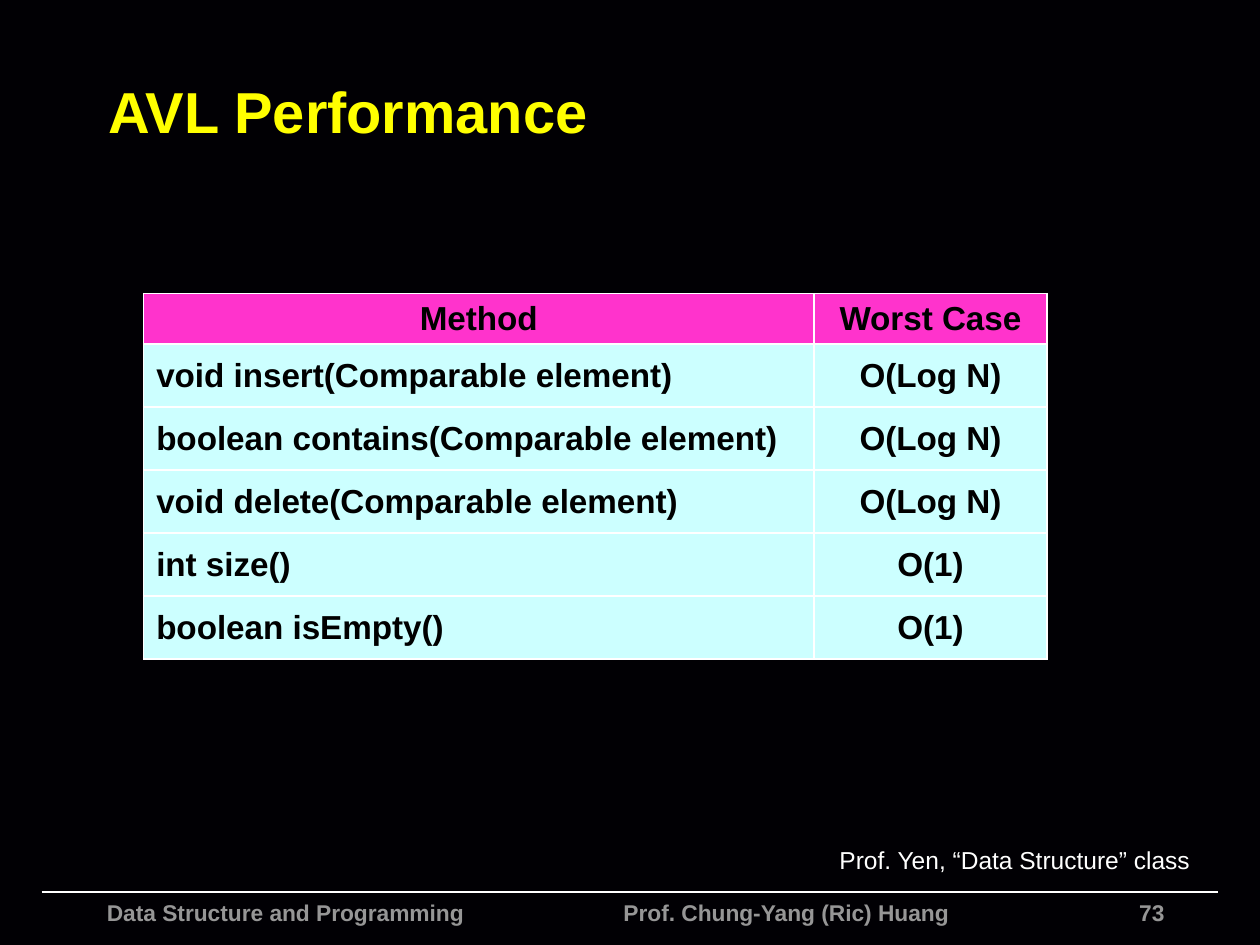
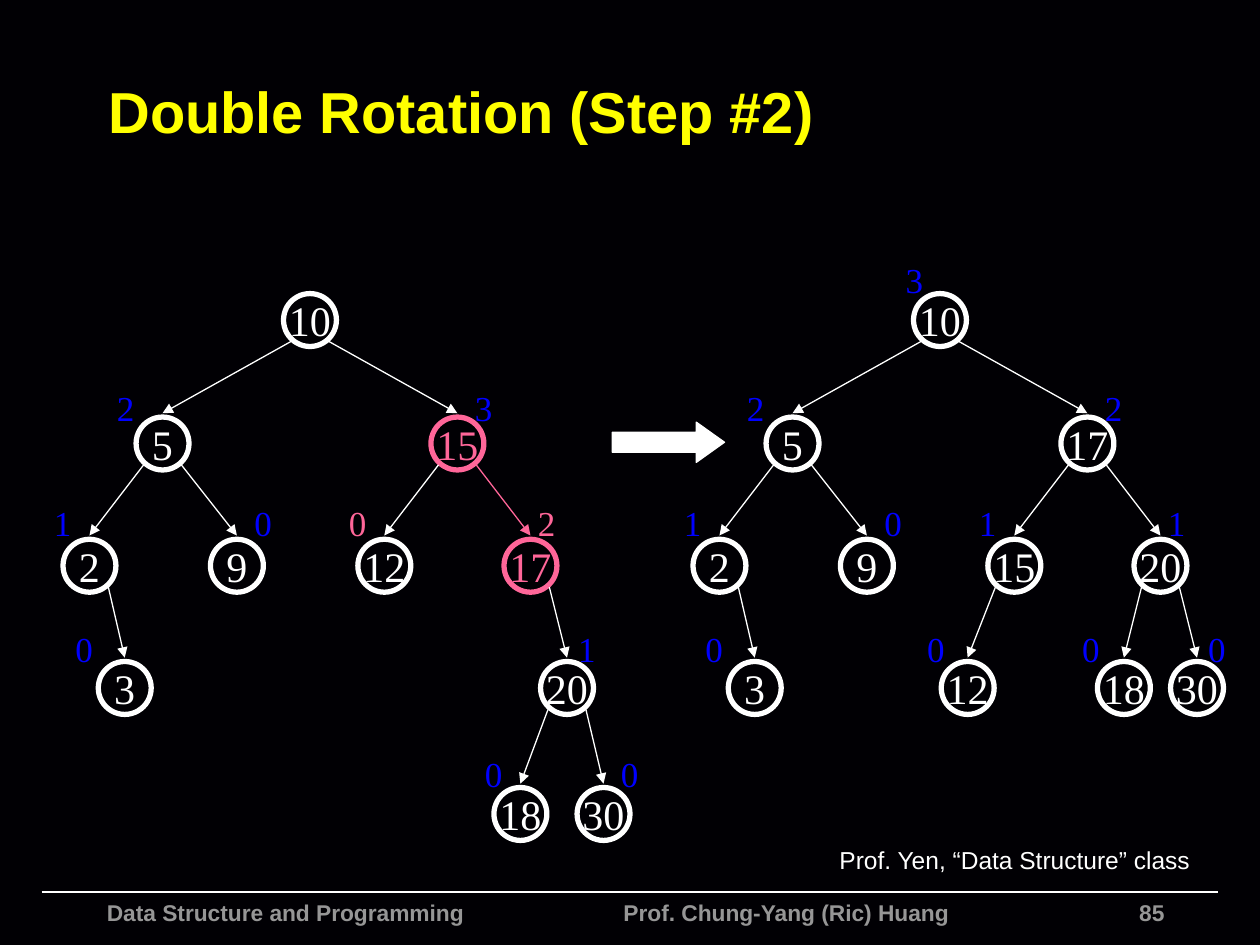
from dataclasses import dataclass

from lxml.etree import SubElement
from pptx import Presentation
from pptx.dml.color import RGBColor
from pptx.enum.shapes import MSO_CONNECTOR, MSO_SHAPE
from pptx.enum.text import MSO_ANCHOR, MSO_AUTO_SIZE, PP_ALIGN
from pptx.oxml.ns import qn
from pptx.shapes.connector import Connector
from pptx.slide import Slide
from pptx.table import _Cell
from pptx.text.text import TextFrame
from pptx.util import Inches, Pt

BLACK = RGBColor(0, 0, 0)
NIGHT = RGBColor(0x01, 0x00, 0x04)
WHITE = RGBColor(0xFF, 0xFF, 0xFF)
YELLOW = RGBColor(0xFF, 0xFF, 0x00)
GREY = RGBColor(0x96, 0x96, 0x96)
BLUE = RGBColor(0x00, 0x00, 0xFF)
PINK = RGBColor(0xFF, 0x66, 0x99)
MAGENTA = RGBColor(0xFF, 0x33, 0xCC)
CYAN = RGBColor(0xCC, 0xFF, 0xFF)

SANS = "Arial"
SERIF = "Times New Roman"

COSTS = [
    ("void insert(Comparable element)", "O(Log N)"),
    ("boolean contains(Comparable element)", "O(Log N)"),
    ("void delete(Comparable element)", "O(Log N)"),
    ("int size()", "O(1)"),
    ("boolean isEmpty()", "O(1)"),
]

# Tree geometry in inches, one entry per level
SIZE = 0.42
TOPS = [2.33, 3.31, 4.28, 5.25, 6.25]
LIFTS = [0.33, 0.29, 0.35, 0.32, 0.33]
SHIFT = 5.0


@dataclass(frozen=True)
class Node:
    key: int
    level: int
    left: float
    rank: int | None  # height of the subtree, None where unmarked
    gap: float  # label offset from the left of the circle
    root: int | None = None  # key of the parent
    color: RGBColor = WHITE
    tint: RGBColor = BLUE

    @property
    def mid(self) -> float:
        return self.left + SIZE / 2

    @property
    def top(self) -> float:
        return TOPS[self.level]


def base(rank: int | None) -> list[Node]:
    """The root and left branch, which the rotation leaves alone."""
    return [
        Node(10, 0, 2.25, rank, -0.16),
        Node(5, 1, 1.08, 2, -0.25, 10),
        Node(2, 2, 0.5, 1, -0.17, 5),
        Node(9, 2, 1.67, 0, 0.25, 5),
        Node(3, 3, 0.78, 0, -0.28, 2),
    ]


BEFORE = base(None) + [
    Node(15, 1, 3.42, 3, 0.25, 10, PINK),
    Node(12, 2, 2.84, 0, -0.17, 15, tint=PINK),
    Node(17, 2, 4.0, 2, 0.17, 15, PINK, PINK),
    Node(20, 3, 4.29, 1, 0.2, 17),
    Node(18, 4, 3.92, 0, -0.17, 20),
    Node(30, 4, 4.58, 0, 0.25, 20),
]
AFTER = base(3) + [
    Node(17, 1, 3.42, 2, 0.25, 10),
    Node(15, 2, 2.84, 1, -0.17, 17),
    Node(20, 2, 4.0, 1, 0.17, 17),
    Node(12, 3, 2.47, 0, -0.21, 15),
    Node(18, 3, 3.71, 0, -0.22, 20),
    Node(30, 3, 4.29, 0, 0.2, 20),
]


def put(frame: TextFrame, words: str, *, size: int, color: RGBColor,
        font: str = SANS, bold: bool = False, align: PP_ALIGN = PP_ALIGN.LEFT,
        anchor: MSO_ANCHOR = MSO_ANCHOR.TOP, wrap: bool = True,
        tab: float | None = None) -> None:
    frame.word_wrap = wrap
    frame.auto_size = MSO_AUTO_SIZE.NONE
    frame.vertical_anchor = anchor
    style(frame, words, size, color, font, bold, align, tab)


def style(frame: TextFrame, words: str, size: int, color: RGBColor, font: str,
          bold: bool, align: PP_ALIGN, tab: float | None = None) -> None:
    par = frame.paragraphs[0]
    par.alignment = align
    if tab is not None:
        stops = SubElement(par._p.get_or_add_pPr(), qn("a:tabLst"))
        SubElement(stops, qn("a:tab"), pos=str(Inches(tab)), algn="l")
    run = par.add_run()
    run.text = words
    run.font.name = font
    run.font.size = Pt(size)
    run.font.bold = bold
    run.font.color.rgb = color


def label(slide: Slide, left: float, top: float, width: float, height: float,
          words: str, **form) -> None:
    box = slide.shapes.add_textbox(*map(Inches, (left, top, width, height)))
    put(box.text_frame, words, **form)


def line(slide: Slide, start: tuple[float, float], end: tuple[float, float],
         color: RGBColor = WHITE, width: float = 1) -> Connector:
    link = slide.shapes.add_connector(
        MSO_CONNECTOR.STRAIGHT, *map(Inches, (*start, *end)))
    link.line.color.rgb = color
    link.line.width = Pt(width)
    SubElement(link._element.spPr, qn("a:effectLst"))
    return link


def frame_slide(prs: Presentation, title: str, page: int) -> Slide:
    """Add a slide with its title, footer and source credit."""
    slide = prs.slides.add_slide(prs.slide_layouts[5])
    head = slide.shapes.title
    head.left, head.top = Inches(0.76), Inches(0.37)
    head.width, head.height = Inches(8.84), Inches(1.01)
    put(head.text_frame, title, size=33, color=YELLOW, bold=True,
        anchor=MSO_ANCHOR.MIDDLE)
    line(slide, (0.33, 7.08), (9.67, 7.08))
    foot = dict(size=13, color=GREY, bold=True)
    label(slide, 0.75, 7.08, 7.24, 0.42,
          "Data Structure and Programming\tProf. Chung-Yang (Ric) Huang",
          tab=4.1, **foot)
    label(slide, 6.17, 7.08, 3.17, 0.18, str(page),
          align=PP_ALIGN.RIGHT, **foot)
    label(slide, 6.61, 6.66, 2.89, 0.33, "Prof. Yen, “Data Structure” class",
          size=14, color=WHITE, align=PP_ALIGN.CENTER, wrap=False)
    return slide


def paint(cell: _Cell, fill: RGBColor) -> None:
    """Give a cell white borders and a solid fill."""
    props = cell._tc.get_or_add_tcPr()
    for side in ("lnL", "lnR", "lnT", "lnB"):
        edge = SubElement(props, qn(f"a:{side}"), w=str(Pt(1)))
        solid = SubElement(edge, qn("a:solidFill"))
        SubElement(solid, qn("a:srgbClr"), val=str(WHITE))
    cell.fill.solid()
    cell.fill.fore_color.rgb = fill


def cost_table(slide: Slide) -> None:
    rows = [("Method", "Worst Case"), *COSTS]
    table = slide.shapes.add_table(
        len(rows), 2, Inches(1.14), Inches(2.33), Inches(7.17), Inches(2.9)).table
    table.columns[0].width = Inches(5.32)
    table.columns[1].width = Inches(1.85)
    for i, row in enumerate(rows):
        table.rows[i].height = Inches(0.5 if i else 0.4)
        for j, words in enumerate(row):
            cell = table.cell(i, j)
            paint(cell, CYAN if i else MAGENTA)
            cell.vertical_anchor = MSO_ANCHOR.MIDDLE
            align = PP_ALIGN.LEFT if i and not j else PP_ALIGN.CENTER
            style(cell.text_frame, words, 19, BLACK, SANS, True, align)


def draw_node(slide: Slide, node: Node, shift: float) -> None:
    disc = slide.shapes.add_shape(MSO_SHAPE.OVAL, *map(
        Inches, (node.left + shift, node.top, SIZE, SIZE)))
    disc.shadow.inherit = False
    disc.fill.background()
    disc.line.color.rgb = node.color
    disc.line.width = Pt(3)
    put(disc.text_frame, str(node.key), size=24, color=node.color, font=SERIF,
        align=PP_ALIGN.CENTER, anchor=MSO_ANCHOR.MIDDLE, wrap=False)
    if node.rank is not None:
        label(slide, node.left + shift + node.gap, node.top - LIFTS[node.level],
              0.34, 0.43, str(node.rank), size=20, color=node.tint,
              font=SERIF, wrap=False)


def draw_edge(slide: Slide, root: Node, node: Node, shift: float) -> None:
    side = 0.15 if node.mid > root.mid else -0.15
    both = root.color == node.color == PINK
    link = line(slide, (root.mid + side + shift, root.top + 0.38),
                (node.mid + shift, node.top - 0.03),
                PINK if both else WHITE, 0.75)
    SubElement(link.line._get_or_add_ln(), qn("a:tailEnd"), type="triangle")


def draw_tree(slide: Slide, nodes: list[Node], shift: float = 0) -> None:
    keys = {node.key: node for node in nodes}
    for node in nodes:
        draw_node(slide, node, shift)
        if node.root is not None:
            draw_edge(slide, keys[node.root], node, shift)


def draw_arrow(slide: Slide) -> None:
    arrow = slide.shapes.add_shape(
        MSO_SHAPE.RIGHT_ARROW, *map(Inches, (4.86, 3.35, 0.89, 0.32)))
    arrow.adjustments[1] = 0.7
    arrow.shadow.inherit = False
    arrow.fill.solid()
    arrow.fill.fore_color.rgb = WHITE
    arrow.line.color.rgb = WHITE
    arrow.line.width = Pt(0.75)


def main() -> None:
    prs = Presentation()
    prs.slide_width, prs.slide_height = Inches(10), Inches(7.5)
    back = prs.slide_master.background.fill
    back.solid()
    back.fore_color.rgb = NIGHT

    cost_table(frame_slide(prs, "AVL Performance", 73))

    turn = frame_slide(prs, "Double Rotation (Step #2)", 85)
    draw_tree(turn, BEFORE)
    draw_tree(turn, AFTER, SHIFT)
    draw_arrow(turn)
    prs.save("out.pptx")


if __name__ == "__main__":
    main()
